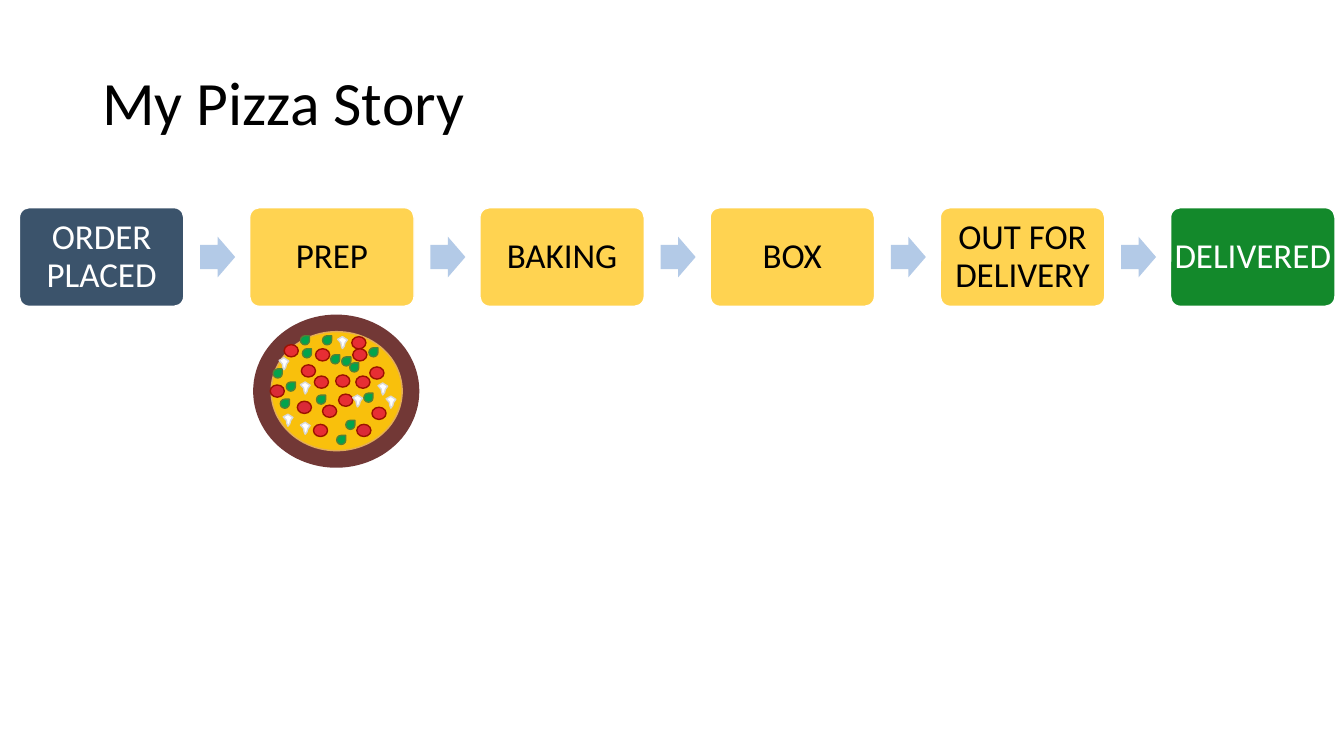
from pptx import Presentation
from pptx.dml.color import RGBColor
from pptx.enum.shapes import MSO_SHAPE
from pptx.enum.text import MSO_ANCHOR, PP_ALIGN
from pptx.util import Pt

BLACK = RGBColor(0x00, 0x00, 0x00)
WHITE = RGBColor(0xFF, 0xFF, 0xFF)
NAVY = RGBColor(0x3B, 0x53, 0x6B)
YELLOW = RGBColor(0xFF, 0xD3, 0x51)
GREEN = RGBColor(0x13, 0x89, 0x2B)
ARROW_BLUE = RGBColor(0xB3, 0xCA, 0xE7)
DOUGH = RGBColor(0xE4, 0xAD, 0x56)
CRUST = RGBColor(0x72, 0x38, 0x36)
CHEESE = RGBColor(0xF9, 0xC0, 0x0C)
TOMATO = RGBColor(0xE7, 0x2E, 0x34)
DARK_TOMATO = RGBColor(0xDA, 0x2A, 0x37)
TOMATO_SKIN = RGBColor(0x9C, 0x12, 0x00)
LEAF = RGBColor(0x02, 0xA4, 0x4D)
LEAF_EDGE = RGBColor(0x54, 0x81, 0x35)
MUSHROOM_EDGE = RGBColor(0xD8, 0xD8, 0xD8)

# Stages: label, fill, text colour
STAGES = [
    ("ORDER PLACED", NAVY, WHITE),
    ("PREP", YELLOW, BLACK),
    ("BAKING", YELLOW, BLACK),
    ("BOX", YELLOW, BLACK),
    ("OUT FOR DELIVERY", YELLOW, BLACK),
    ("DELIVERED", GREEN, WHITE),
]
STAGE_LEFT, STAGE_STEP = 13.9, 164.45
ARROW_OFFSET = 129.1

# Toppings: left and top of each piece
TOMATOES = [
    (224.6, 268.6), (215.3, 260.6), (241.9, 281.5), (230.4, 289.4), (225.4, 249.1),
    (223.9, 303.1), (254.2, 268.6), (239.8, 267.8), (264.2, 262.1), (265.7, 290.9),
    (203, 246.2), (251.3, 240.5), (252, 249.1),
]
DARK_TOMATOES = [(212.4, 286.6), (193, 275), (254.9, 303.1)]
LEAVES = [
    (226.1, 282.2), (247, 300.2), (200.2, 285.1), (259.9, 280.8), (249.8, 259.2),
    (240.5, 311), (230.4, 239.8), (216, 249.1), (195.1, 263.5), (204.5, 272.9),
    (263.5, 248.4), (244.1, 254.9), (236.2, 253.4), (214.6, 239.8),
]
MUSHROOMS = [
    (241.2, 240.5), (275.8, 283), (252, 282.2), (214.6, 272.9),
    (199.4, 255.6), (202.3, 295.9), (270, 273.6), (214.6, 301.7),
]
# Cap and stem, from the left end of the cap's underside
MUSHROOM_OUTLINE = [
    (2.3, 4.4), (0, 1.9), (3.4, 0), (6.9, 2.3),
    (5.3, 4.5), (4.7, 6.8), (3.4, 8.5), (2.6, 6.6),
]


def apply(target, values):
    for name, value in values.items():
        setattr(target, name, value)


def paint(shape, fill, line=None, weight=1):
    shape.shadow.inherit = False
    shape.fill.solid()
    shape.fill.fore_color.rgb = fill
    if line is None:
        shape.line.fill.background()
    else:
        shape.line.color.rgb = line
        shape.line.width = Pt(weight)


def add_preset(shapes, preset, box, fill, line=None, weight=1, adjustments=()):
    shape = shapes.add_shape(preset, *map(Pt, box))
    for index, value in enumerate(adjustments):
        shape.adjustments[index] = value
    paint(shape, fill, line, weight)
    return shape


def write(shape, words, size, color, align, inset_x=0, inset_y=0):
    frame = shape.text_frame
    apply(frame, {
        "word_wrap": True, "vertical_anchor": MSO_ANCHOR.MIDDLE,
        "margin_left": Pt(inset_x), "margin_right": Pt(inset_x),
        "margin_top": Pt(inset_y), "margin_bottom": Pt(inset_y),
    })
    paragraph = frame.paragraphs[0]
    apply(paragraph, {"text": words, "alignment": align, "line_spacing": 0.9})
    apply(paragraph.font, {"name": "Calibri", "size": Pt(size)})
    paragraph.font.color.rgb = color


def add_stage(shapes, left, label, fill, color):
    stage = add_preset(shapes, MSO_SHAPE.ROUNDED_RECTANGLE, (left, 148.3, 117.4, 70.5),
                       fill, WHITE, adjustments=[0.1])
    write(stage, label, 25, color, PP_ALIGN.CENTER)


def add_mushroom(shapes, left, top):
    start, *rest = [(Pt(left + x), Pt(top + y)) for x, y in MUSHROOM_OUTLINE]
    builder = shapes.build_freeform(*start)
    builder.add_line_segments(rest, close=True)
    paint(builder.convert_to_shape(), WHITE, MUSHROOM_EDGE)


def add_pizza(shapes):
    # Base
    add_preset(shapes, MSO_SHAPE.DONUT, (185.8, 229.7, 108.7, 99.4),
               DOUGH, CRUST, 10, [0.068])
    add_preset(shapes, MSO_SHAPE.OVAL, (193.7, 236.9, 93.6, 85), CHEESE, DOUGH)
    # Toppings
    for preset, places, size, fill, edge in (
        (MSO_SHAPE.OVAL, TOMATOES, (10.1, 8.7), TOMATO, TOMATO_SKIN),
        (MSO_SHAPE.OVAL, DARK_TOMATOES, (10.1, 8.7), DARK_TOMATO, TOMATO_SKIN),
        (MSO_SHAPE.TEAR, LEAVES, (6.5, 6.5), LEAF, LEAF_EDGE),
    ):
        for place in places:
            add_preset(shapes, preset, (*place, *size), fill, edge)
    for left, top in MUSHROOMS:
        add_mushroom(shapes, left, top)


def main():
    deck = Presentation()
    apply(deck, {"slide_width": Pt(960), "slide_height": Pt(540)})
    shapes = deck.slides.add_slide(deck.slide_layouts[6]).shapes

    # Title
    title = shapes.add_textbox(Pt(66), Pt(42.5), Pt(828), Pt(66.2))
    write(title, "My Pizza Story", 44, BLACK, PP_ALIGN.LEFT, 7.2, 3.6)

    # Order stages with arrows between them
    process = shapes.add_group_shape().shapes
    for index, (label, fill, color) in enumerate(STAGES):
        left = STAGE_LEFT + index * STAGE_STEP
        if index:
            add_preset(process, MSO_SHAPE.RIGHT_ARROW,
                       (left - STAGE_STEP + ARROW_OFFSET, 169.1, 25, 29),
                       ARROW_BLUE, adjustments=[0.6, 0.5])
        add_stage(process, left, label, fill, color)

    # Pizza under the current stage
    add_pizza(shapes.add_group_shape().shapes)
    deck.save("out.pptx")


if __name__ == "__main__":
    main()
